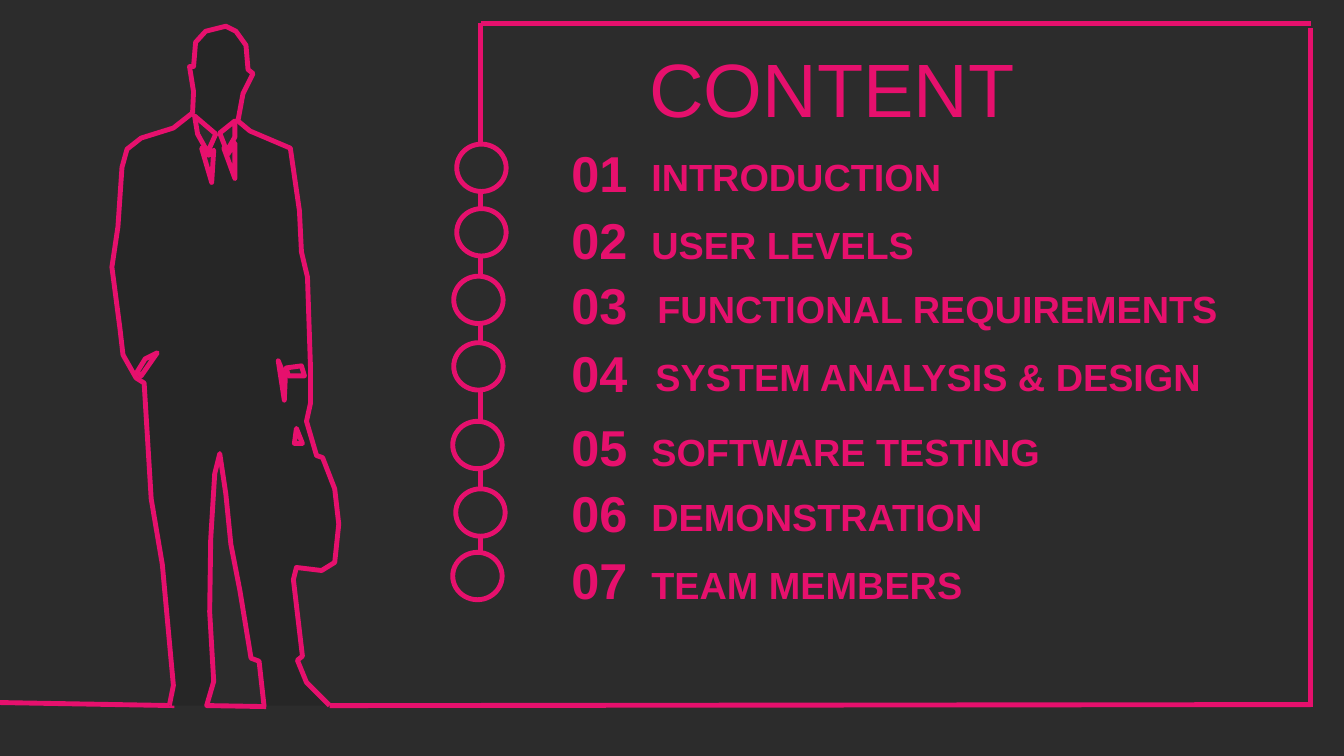
"""Build the contents slide with a businessman outline and a timeline."""
from pptx import Presentation
from pptx.dml.color import RGBColor
from pptx.enum.shapes import MSO_CONNECTOR, MSO_SHAPE
from pptx.enum.text import MSO_ANCHOR, PP_ALIGN
from pptx.oxml import parse_xml
from pptx.util import Inches, Pt

STRAIGHT, OVAL = MSO_CONNECTOR.STRAIGHT, MSO_SHAPE.OVAL
LEFT, CENTER = PP_ALIGN.LEFT, PP_ALIGN.CENTER
TOP, MIDDLE = MSO_ANCHOR.TOP, MSO_ANCHOR.MIDDLE
PINK = RGBColor(0xE6, 0x10, 0x6D)
CHARCOAL = RGBColor(0x2C, 0x2C, 0x2C)
SUIT = RGBColor(0x26, 0x26, 0x26)
EFFECTS = '<a:effectLst xmlns:a="http://schemas.openxmlformats.org/drawingml/2006/main"/>'

WIDTH, HEIGHT = 13.33, 7.5
RING_W, RING_H = 0.49, 0.47
NUMBER_X, NUMBER_W, NUMBER_H = 5.42, 1.05, 0.71
LABEL_X, LABEL_W, LABEL_H, LABEL_DROP = 6.34, 6.08, 0.56, 0.12
STROKE = 3.5
TITLE = "CONTENT"
TITLE_FORMAT = {"size": Pt(54), "bold": False}
NUMBER_FORMAT = {"size": Pt(36), "bold": True}
LABEL_FORMAT = {"size": Pt(27), "bold": True}

# label, text top, label indent, ring left, ring top
ITEMS = [
    ("INTRODUCTION", 1.36, 0, 4.53, 1.43),
    ("USER LEVELS", 2.03, 0, 4.53, 2.07),
    ("FUNCTIONAL REQUIREMENTS", 2.67, 0.06, 4.5, 2.74),
    ("SYSTEM ANALYSIS & DESIGN", 3.34, 0.04, 4.5, 3.4),
    ("SOFTWARE TESTING", 4.08, 0, 4.49, 4.18),
    ("DEMONSTRATION", 4.73, 0, 4.52, 4.85),
    ("TEAM MEMBERS", 5.4, 0, 4.49, 5.48),
]
FRAME = [
    (4.77, 5.8, 4.77, 0.23),
    (13, 0.23, 4.77, 0.23),
    (13, 7.01, 13, 0.28),
    (13, 6.99, 3.27, 7),
    (1.73, 7, 0, 6.97),
]

LEGS = [
    (262, 701), (257, 656), (249, 653), (238, 586), (229, 540), (224, 490),
    (218, 450), (213, 470), (209, 535), (208, 607), (212, 676), (205, 700),
    (264, 701),
]
BODY = [
    (168, 700), (172, 680), (161, 560), (150, 495), (143, 380), (135, 375),
    (122, 352), (119, 326), (111, 265), (117, 225), (121, 166), (126, 148),
    (140, 137), (172, 127), (191, 112), (192, 91), (188, 66), (192, 66),
    (194, 42), (204, 31), (224, 26), (234, 31), (244, 45), (246, 69),
    (251, 73), (241, 93), (236, 120), (248, 130), (288, 147), (297, 209),
    (299, 250), (305, 275), (308, 365), (308, 400), (304, 418), (314, 452),
    (320, 454), (332, 485), (336, 520), (332, 558), (319, 566), (294, 563),
    (291, 575), (300, 651), (295, 655), (304, 677), (327, 700),
]
DETAILS = [
    [(300, 440), (294, 425), (292, 440)],
    [(286, 373), (302, 373), (299, 363), (284, 365)],
    [(282, 397), (283, 375), (276, 358)],
    [(233, 177), (233, 142), (226, 153), (222, 147)],
    [(225, 150), (233, 136), (233, 120), (218, 132)],
    [(210, 181), (212, 149), (207, 154), (200, 147)],
    [(206, 151), (214, 133), (193, 115), (196, 133)],
    [(140, 373), (156, 350), (144, 356), (136, 369)],
]


def inches(*values):
    return [Inches(v) for v in values]


def outline(sp, fill):
    sp.shadow.inherit = False
    sp.fill.solid()
    sp.fill.fore_color.rgb = fill
    sp.line.color.rgb = PINK
    sp.line.width = Pt(STROKE)


def add_text(slide, text, box, fmt, align=LEFT, anchor=TOP, margin=0.12):
    tf = slide.shapes.add_textbox(*inches(*box)).text_frame
    settings = {"word_wrap": True, "vertical_anchor": anchor,
                "margin_left": Inches(margin), "margin_right": Inches(margin)}
    for name, value in settings.items():
        setattr(tf, name, value)
    p = tf.paragraphs[0]
    p.alignment = align
    r = p.add_run()
    r.text = text
    for name, value in {"name": "Arial", **fmt}.items():
        setattr(r.font, name, value)
    r.font.color.rgb = PINK


def add_frame(slide):
    for ends in FRAME:
        line = slide.shapes.add_connector(STRAIGHT, *inches(*ends))
        line.line.color.rgb = PINK
        line.line.width = Pt(STROKE)
        line._element.spPr.append(parse_xml(EFFECTS))


def add_businessman(slide):
    contours = [(LEGS, False), (BODY, False)] + [(d, True) for d in DETAILS]
    builder = slide.shapes.build_freeform(*LEGS[0], scale=Inches(0.01))
    for points, close in contours:
        if points is not LEGS:
            builder.move_to(*points[0])
        builder.add_line_segments(points[1:], close=close)
    outline(builder.convert_to_shape(), SUIT)


def add_items(slide):
    for i, (label, top, indent, ring_x, ring_y) in enumerate(ITEMS, 1):
        ring = slide.shapes.add_shape(OVAL, *inches(ring_x, ring_y, RING_W, RING_H))
        outline(ring, CHARCOAL)
        add_text(slide, label, (LABEL_X + indent, top + LABEL_DROP, LABEL_W, LABEL_H),
                 LABEL_FORMAT)
        add_text(slide, f"{i:02}", (NUMBER_X, top, NUMBER_W, NUMBER_H),
                 NUMBER_FORMAT, CENTER)


def main():
    prs = Presentation()
    prs.slide_width, prs.slide_height = inches(WIDTH, HEIGHT)
    slide = prs.slides.add_slide(prs.slide_layouts[6])
    slide.background.fill.solid()
    slide.background.fill.fore_color.rgb = CHARCOAL
    add_frame(slide)
    add_businessman(slide)
    add_text(slide, TITLE, (LABEL_X, 0.36, 5.28, 1.01), TITLE_FORMAT,
             anchor=MIDDLE, margin=0.1)
    add_items(slide)
    prs.save("out.pptx")


if __name__ == "__main__":
    main()
